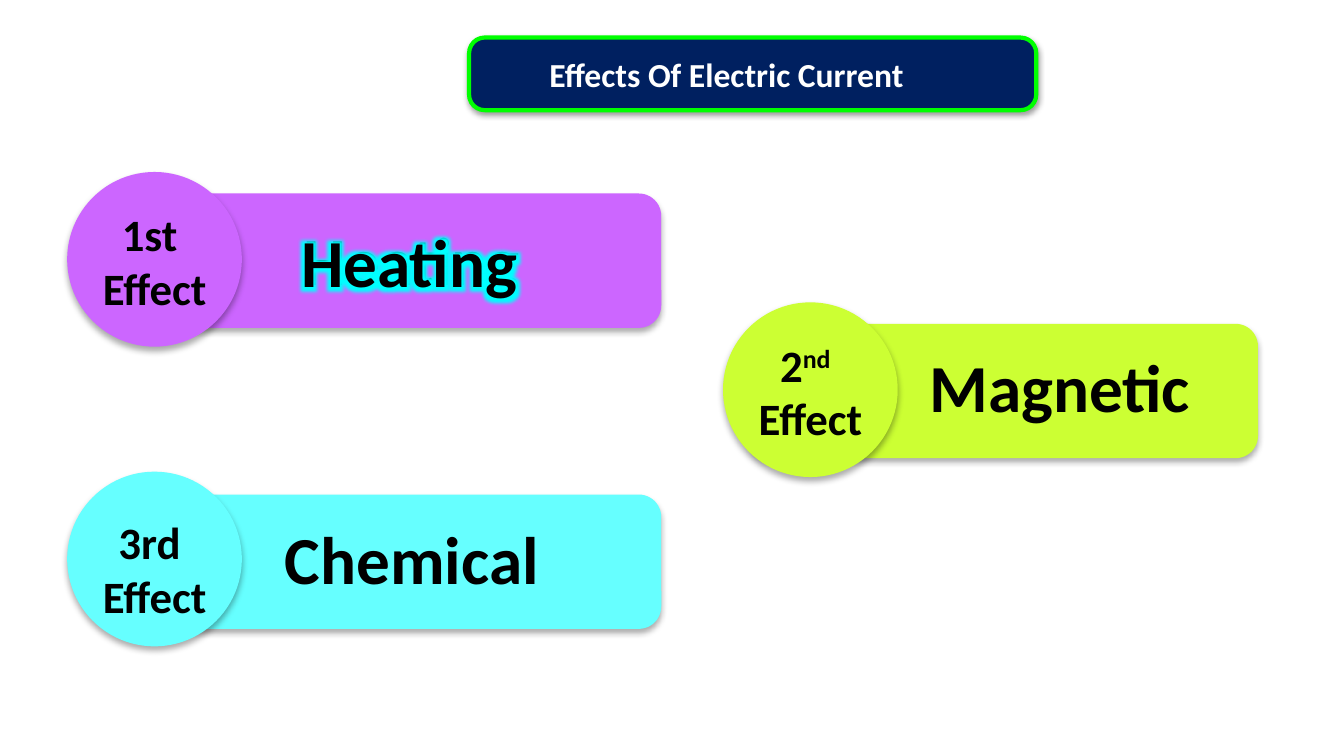
from lxml import etree
from pptx import Presentation
from pptx.dml.color import RGBColor
from pptx.enum.shapes import MSO_SHAPE
from pptx.enum.text import MSO_AUTO_SIZE, PP_ALIGN
from pptx.oxml.ns import qn
from pptx.util import Inches, Pt

ROUNDED = MSO_SHAPE.ROUNDED_RECTANGLE
OVAL = MSO_SHAPE.OVAL
CENTER, LEFT = PP_ALIGN.CENTER, PP_ALIGN.LEFT

FONT = "Calibri"
BLACK, WHITE, NAVY, GREEN, CYAN = "000000", "FFFFFF", "002060", "00FF00", "00FFFF"
SLIDE_WIDTH = 10
SLIDE_HEIGHT = SLIDE_WIDTH * 9 / 16
BAR_WIDTH, BAR_HEIGHT = 3.79, 1
CIRCLE_SIZE = 1.3
LABEL_WIDTH, LABEL_HEIGHT = 0.99, 0.91
NAME_HEIGHT = 0.65

TITLE = "Effects Of Electric Current"
# Runs are (text, is_superscript); "name_box" is left, top, width.
EFFECTS = [
    {"name": "Heating", "ordinal": [("1st ", False)], "color": "CC66FF",
     "circle": (0.5, 1.28), "bar": (1.13, 1.44), "label_top": 1.49,
     "name_box": (2.15, 1.64, 1.83)},
    {"name": "Magnetic", "ordinal": [("2", False), ("nd", True), (" ", False)],
     "color": "CCFF33",
     "circle": (5.38, 2.25), "bar": (5.57, 2.41), "label_top": 2.46,
     "name_box": (6.8, 2.59, 2.17)},
    {"name": "Chemical", "ordinal": [("3rd ", False)], "color": "66FFFF",
     "circle": (0.5, 3.51), "bar": (1.13, 3.68), "label_top": 3.78,
     "name_box": (1.98, 3.87, 2.17)},
]
GLOWING_NAME = ("Heating", (2.13, 1.66, 1.83))


def rgb(color):
    return RGBColor.from_string(color)


def add_effect(parent, kind, color, opacity, **attributes):
    """Append an effect list holding one glow or shadow to parent."""
    effects = etree.SubElement(parent, qn("a:effectLst"))
    effect = etree.SubElement(effects, qn(kind), attributes)
    shade = etree.SubElement(effect, qn("a:srgbClr"), val=color)
    etree.SubElement(shade, qn("a:alpha"), val=str(opacity * 1000))
    return effects


def add_panel(slide, preset, left, top, width, height, fill, opacity=32, blur=3.5, distance=2.2):
    """Add a filled preset shape with a soft shadow below it."""
    shape = slide.shapes.add_shape(
        preset, Inches(left), Inches(top), Inches(width), Inches(height))
    shape.fill.solid()
    shape.fill.fore_color.rgb = rgb(fill)
    shape.line.fill.background()
    add_effect(shape._element.spPr, "a:outerShdw", BLACK, opacity,
               blurRad=str(Pt(blur)), dist=str(Pt(distance)),
               dir="5400000", rotWithShape="0")
    return shape


def add_text(slide, lines, left, top, width, height, size, color=BLACK,
             alignment=CENTER, spacing=None):
    """Add bold text; each line is a list of (text, is_superscript) runs."""
    box = slide.shapes.add_textbox(
        Inches(left), Inches(top), Inches(width), Inches(height))
    frame = box.text_frame
    frame.word_wrap = False
    frame.auto_size = MSO_AUTO_SIZE.SHAPE_TO_FIT_TEXT
    for index, runs in enumerate(lines):
        paragraph = frame.add_paragraph() if index else frame.paragraphs[0]
        paragraph.alignment = alignment
        if spacing:
            paragraph.line_spacing = spacing
        for text, superscript in runs:
            run = paragraph.add_run()
            run.text = text
            run.font.size = Pt(size)
            run.font.bold = True
            run.font.name = FONT
            run.font.color.rgb = rgb(color)
            if superscript:
                run.font._element.set("baseline", "30000")
    return box


def add_name(slide, name, name_box):
    left, top, width = name_box
    return add_text(slide, [[(name, False)]], left, top, width, NAME_HEIGHT, 36, spacing=0.9)


def add_title(slide):
    panel = add_panel(slide, ROUNDED, 3.49, 0.28, 4.22, 0.54, NAVY, 38, 3.1, 1.6)
    panel.adjustments[0] = 0.215
    panel.line.color.rgb = rgb(GREEN)
    panel.line.width = Pt(2.25)
    add_text(slide, [[(TITLE, False)]], 3.99, 0.35, 2.86, 0.4, 18, WHITE, LEFT)


def add_bar(slide, effect):
    add_panel(slide, ROUNDED, *effect["bar"], BAR_WIDTH, BAR_HEIGHT, effect["color"])
    add_name(slide, effect["name"], effect["name_box"])


def add_circle(slide, effect):
    left, top = effect["circle"]
    add_panel(slide, OVAL, left, top, CIRCLE_SIZE, CIRCLE_SIZE, effect["color"])
    label_left = left + (CIRCLE_SIZE - LABEL_WIDTH) / 2
    add_text(slide, [effect["ordinal"], [("Effect", False)]], label_left,
             effect["label_top"], LABEL_WIDTH, LABEL_HEIGHT, 24)


def add_glowing_name(slide, name, name_box):
    box = add_name(slide, name, name_box)
    properties = box.text_frame.paragraphs[0].runs[0].font._element
    effects = add_effect(properties, "a:glow", CYAN, 100, rad=str(Pt(10)))
    properties.find(qn("a:solidFill")).addnext(effects)


def main():
    presentation = Presentation()
    presentation.slide_width = Inches(SLIDE_WIDTH)
    presentation.slide_height = Inches(SLIDE_HEIGHT)
    slide = presentation.slides.add_slide(presentation.slide_layouts[6])
    add_title(slide)
    for effect in EFFECTS:
        add_bar(slide, effect)
    for effect in EFFECTS:
        add_circle(slide, effect)
    add_glowing_name(slide, *GLOWING_NAME)
    presentation.save("out.pptx")


if __name__ == "__main__":
    main()
